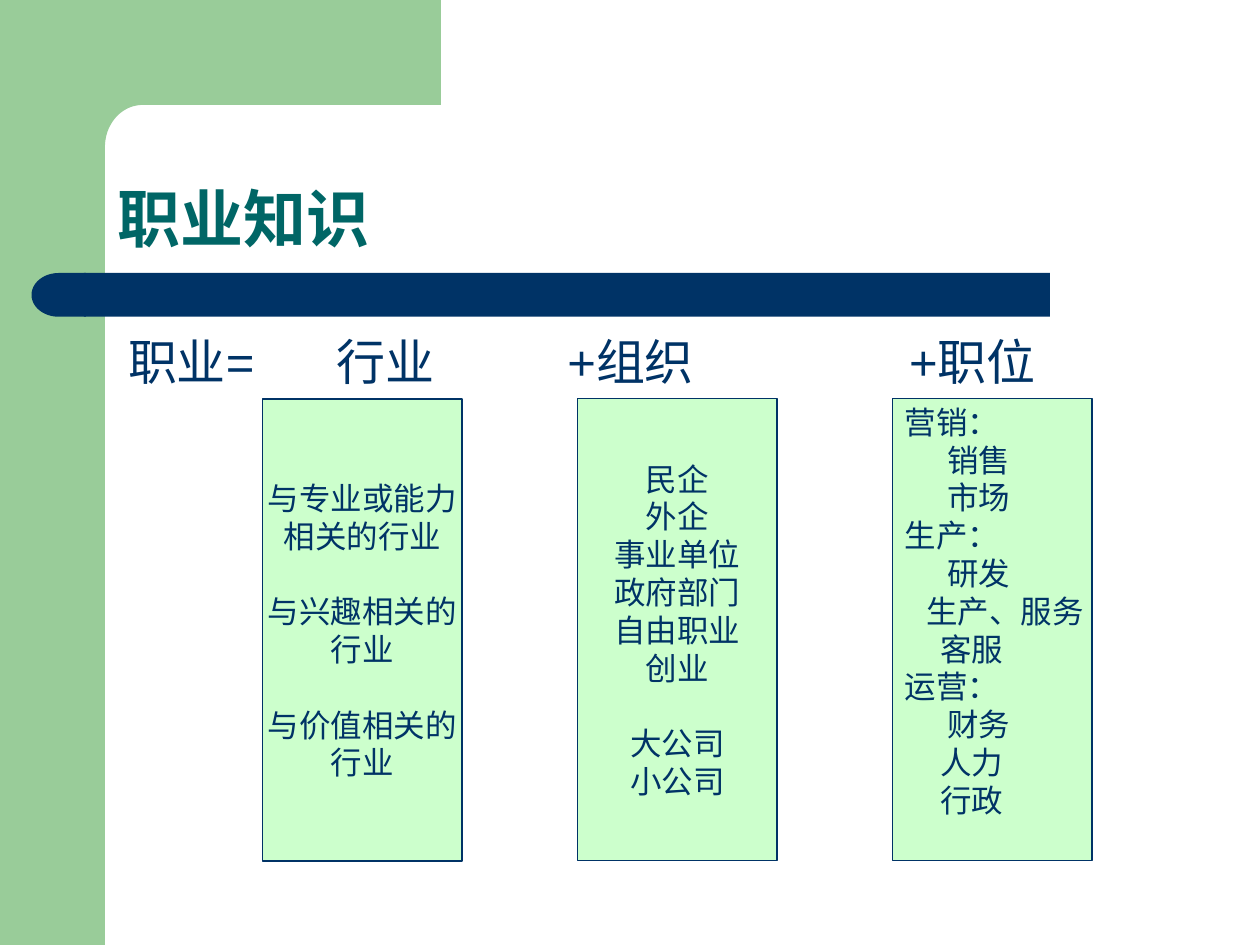
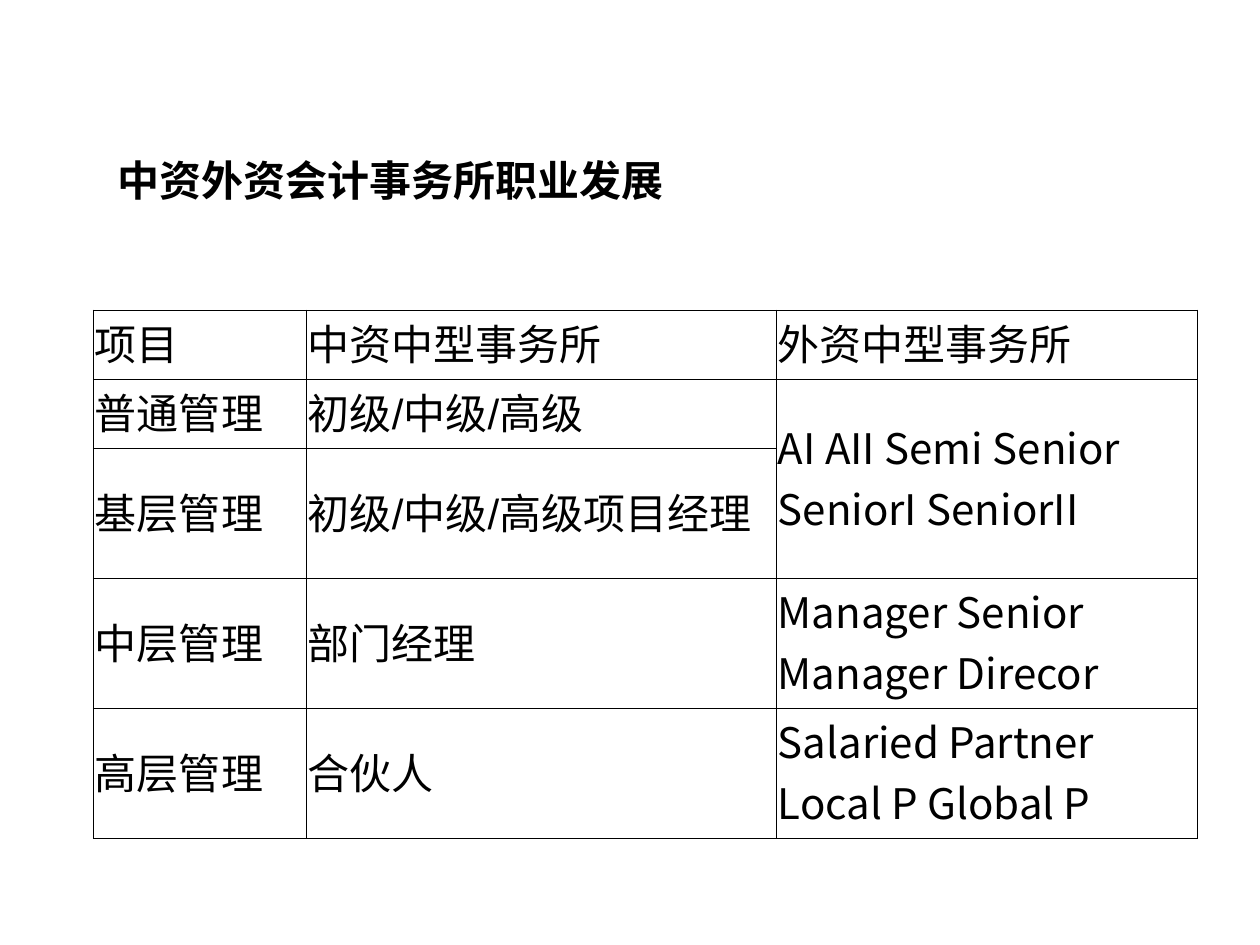
from dataclasses import dataclass
from math import cos, pi, sin

from lxml import etree
from pptx import Presentation
from pptx.dml.color import RGBColor
from pptx.enum.shapes import MSO_SHAPE
from pptx.enum.text import MSO_ANCHOR, MSO_AUTO_SIZE, PP_ALIGN
from pptx.oxml.ns import qn
from pptx.util import Pt

RECT, DELAY = MSO_SHAPE.RECTANGLE, MSO_SHAPE.FLOWCHART_DELAY
LEFT, CENTER = PP_ALIGN.LEFT, PP_ALIGN.CENTER
MIDDLE, BOTTOM = MSO_ANCHOR.MIDDLE, MSO_ANCHOR.BOTTOM

GREEN = RGBColor(0x99, 0xCC, 0x99)
PALE_GREEN = RGBColor(0xCC, 0xFF, 0xCC)
NAVY = RGBColor(0x00, 0x33, 0x66)
TEAL = RGBColor(0x00, 0x66, 0x66)
BLACK = RGBColor(0, 0, 0)
ARIAL, NOTO = "Arial", "Noto Sans CJK SC"


@dataclass
class Line:
    text: str
    indent: float = 0
    before: float = 0


@dataclass
class Box:
    left: float
    top: float
    lines: list[Line]
    align: PP_ALIGN = CENTER
    bottom_inset: float = 3.6


def add_run(p, text: str, *, size: float, color: RGBColor, font: str = ARIAL,
            east_asian: str = "", bold: bool = False, tracking: float = 0) -> None:
    """Add one formatted run; tracking is extra letter spacing in points."""
    r = p.add_run()
    r.text = text
    r.font.name, r.font.size, r.font.bold = font, Pt(size), bold
    r.font.color.rgb = color
    rPr = r._r.get_or_add_rPr()
    if tracking:
        rPr.set("spc", str(round(tracking * 100)))
    if east_asian:
        etree.SubElement(rPr, qn("a:ea")).set("typeface", east_asian)


def write(p, text: str, *, align: PP_ALIGN = LEFT, before: float = 0,
          indent: float = 0, spacing: float = 1.0, **font) -> None:
    """Format a paragraph without a bullet and give it its first run."""
    p.alignment, p.space_before, p.line_spacing = align, Pt(before), spacing
    pPr = p._p.get_or_add_pPr()
    pPr.set("marL", str(Pt(indent)))
    pPr.set("indent", "0")
    etree.SubElement(pPr, qn("a:buNone"))
    add_run(p, text, **font)


def place(sp, left: float, top: float, width: float, height: float) -> None:
    sp.left, sp.top, sp.width, sp.height = map(Pt, (left, top, width, height))


def paint(sp, fill: RGBColor, line: RGBColor | None = None) -> None:
    sp.shadow.inherit = False
    sp.fill.solid()
    sp.fill.fore_color.rgb = fill
    if line is None:
        sp.line.fill.background()
    else:
        sp.line.color.rgb, sp.line.width = line, Pt(0.75)


def add_shape(s, kind, left: float, top: float, width: float, height: float,
              fill: RGBColor, line: RGBColor | None = None):
    sp = s.shapes.add_shape(kind, *map(Pt, (left, top, width, height)))
    paint(sp, fill, line)
    return sp


def set_title(s, text: str, size: float, color: RGBColor,
              bottom_inset: float = 3.6) -> None:
    title = s.shapes.title
    place(title, 60, 60, 624, 90)
    geom = etree.SubElement(title._element.spPr, qn("a:prstGeom"), prst="roundRect")
    guides = etree.SubElement(geom, qn("a:avLst"))
    etree.SubElement(guides, qn("a:gd"), name="adj", fmla="val 21700")
    tf = title.text_frame
    tf.auto_size, tf.vertical_anchor = MSO_AUTO_SIZE.NONE, BOTTOM
    tf.margin_bottom = Pt(bottom_inset)
    write(tf.paragraphs[0], text, size=size, color=color, bold=True, spacing=0.9)


def draw_frame(s) -> None:
    """Green corner with a rounded inside, and the navy title band."""
    add_shape(s, RECT, 0, 0, 60, 540, GREEN)
    cx, cy, rx, ry, steps = 81.5, 84, 21.5, 24, 24
    arc = [(cx - rx * sin(a), cy - ry * cos(a))
           for a in (i * pi / 2 / steps for i in range(steps + 1))]
    outline = [(252, 60), *arc, (60, 92), (36, 92), (36, 0)]
    unit = 100  # freeform units in a point, so that the arc stays smooth
    fb = s.shapes.build_freeform(252 * unit, 0, scale=Pt(1) / unit)
    fb.add_line_segments([(x * unit, y * unit) for x, y in outline], close=True)
    paint(fb.convert_to_shape(), GREEN)
    add_shape(s, RECT, 48, 156, 552, 25, NAVY)
    add_shape(s, DELAY, 18, 156, 31, 25, NAVY).rotation = 180


def draw_box(s, box: Box) -> None:
    sp = add_shape(s, RECT, box.left, box.top, 114, 264, PALE_GREEN, NAVY)
    tf = sp.text_frame
    tf.word_wrap, tf.vertical_anchor = False, MIDDLE
    tf.margin_bottom = Pt(box.bottom_inset)
    for i, line in enumerate(box.lines):
        p = tf.add_paragraph() if i else tf.paragraphs[0]
        write(p, line.text, size=18, color=NAVY, align=box.align,
              indent=line.indent, before=line.before)


def set_borders(cell, sides: str) -> None:
    """Thin black lines on the named sides, none on the others."""
    tcPr = cell._tc.get_or_add_tcPr()
    for i, side in enumerate("LRTB"):
        ln = etree.Element(qn(f"a:ln{side}"), w=str(Pt(0.5)))
        if side in sides:
            fill = etree.SubElement(ln, qn("a:solidFill"))
            etree.SubElement(fill, qn("a:srgbClr"), val=str(BLACK))
        else:
            etree.SubElement(ln, qn("a:noFill"))
        tcPr.insert(i, ln)


prs = Presentation()
prs.slide_width, prs.slide_height = Pt(720), Pt(540)

# Slide 1: what makes up an occupation
s = prs.slides.add_slide(prs.slide_layouts[1])
draw_frame(s)
set_title(s, "职业知识", 36, TEAL)

# The terms of the equation stand apart by widened single spaces
body = s.placeholders[1]
place(body, 66, 186, 606, 293)
body.text_frame.auto_size = MSO_AUTO_SIZE.NONE
p = body.text_frame.paragraphs[0]
write(p, "职业=", size=28, color=NAVY, before=5.6)
for gap, term in ((38.9, "行业"), (70, "+组织"), (116.7, "+职位")):
    add_run(p, " ", size=28, color=NAVY, tracking=gap)
    add_run(p, term, size=28, color=NAVY)

GAP = 21.6  # one line of 18 pt text
boxes = [
    Box(150, 228, [
        Line("与专业或能力"), Line("相关的行业"),
        Line("与兴趣相关的", before=GAP), Line("行业"),
        Line("与价值相关的", before=GAP), Line("行业")]),
    Box(330, 227.75, [
        *map(Line, ("民企", "外企", "事业单位", "政府部门", "自由职业", "创业")),
        Line("大公司", before=GAP), Line("小公司")]),
    Box(510, 227.75, [
        Line("营销："), Line("销售", 24.2), Line("市场", 24.2),
        Line("生产："), Line("研发", 24.2), Line("生产、服务", 12.3),
        Line("客服", 20.2),
        Line("运营："), Line("财务", 24.2), Line("人力", 20.2),
        Line("行政", 20.2)],
        LEFT, 3.6 + GAP),
]
for box in boxes:
    draw_box(s, box)

# Slide 2: careers in accounting firms
s = prs.slides.add_slide(prs.slide_layouts[5])
set_title(s, "中资外资会计事务所职业发展", 24, BLACK, bottom_inset=32.8)

ROWS = [
    ("", "", ""),
    ("项目", "中资中型事务所", "外资中型事务所"),
    ("普通管理", "初级/中级/高级", "AI AII Semi Senior SeniorI SeniorII"),
    ("基层管理", "初级/中级/高级项目经理", ""),
    ("中层管理", "部门经理", "Manager Senior Manager Direcor"),
    ("高层管理", "合伙人", "Salaried Partner Local P Global P"),
]
COLUMN_WIDTHS = (121.7, 268.5, 240.5)
ROW_HEIGHTS = (39, 39.5, 39.5, 74.3, 74.3, 74.3)
frame = s.shapes.add_table(len(ROWS), len(COLUMN_WIDTHS), Pt(53.3), Pt(138.2),
                           Pt(sum(COLUMN_WIDTHS)), Pt(sum(ROW_HEIGHTS)))
table = frame.table
table.first_row = table.horz_banding = False
for column, width in zip(table.columns, COLUMN_WIDTHS):
    column.width = Pt(width)
for row, height in zip(table.rows, ROW_HEIGHTS):
    row.height = Pt(height)
for i, texts in enumerate(ROWS):
    for j, text in enumerate(texts):
        cell = table.cell(i, j)
        cell.fill.background()
        set_borders(cell, "LRTB" if i else "B")
        cell.vertical_anchor = MIDDLE
        cell.margin_left = cell.margin_right = cell.margin_top = Pt(1)
        cell.margin_bottom = Pt(3.6)
        if text:
            write(cell.text_frame.paragraphs[0], text, size=24, color=BLACK,
                  font=NOTO if text.isascii() else ARIAL, east_asian=NOTO)
table.cell(0, 0).merge(table.cell(0, 2))
table.cell(2, 2).merge(table.cell(3, 2))

prs.save("out.pptx")
